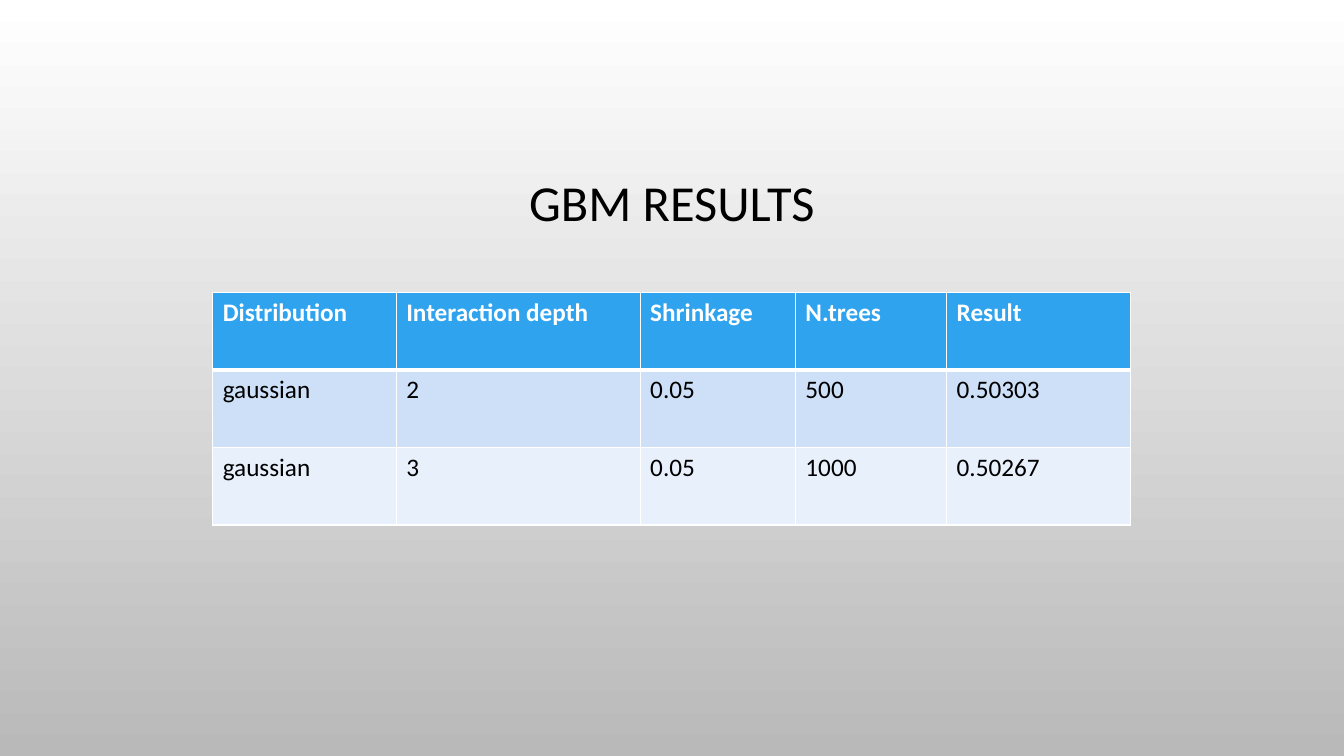
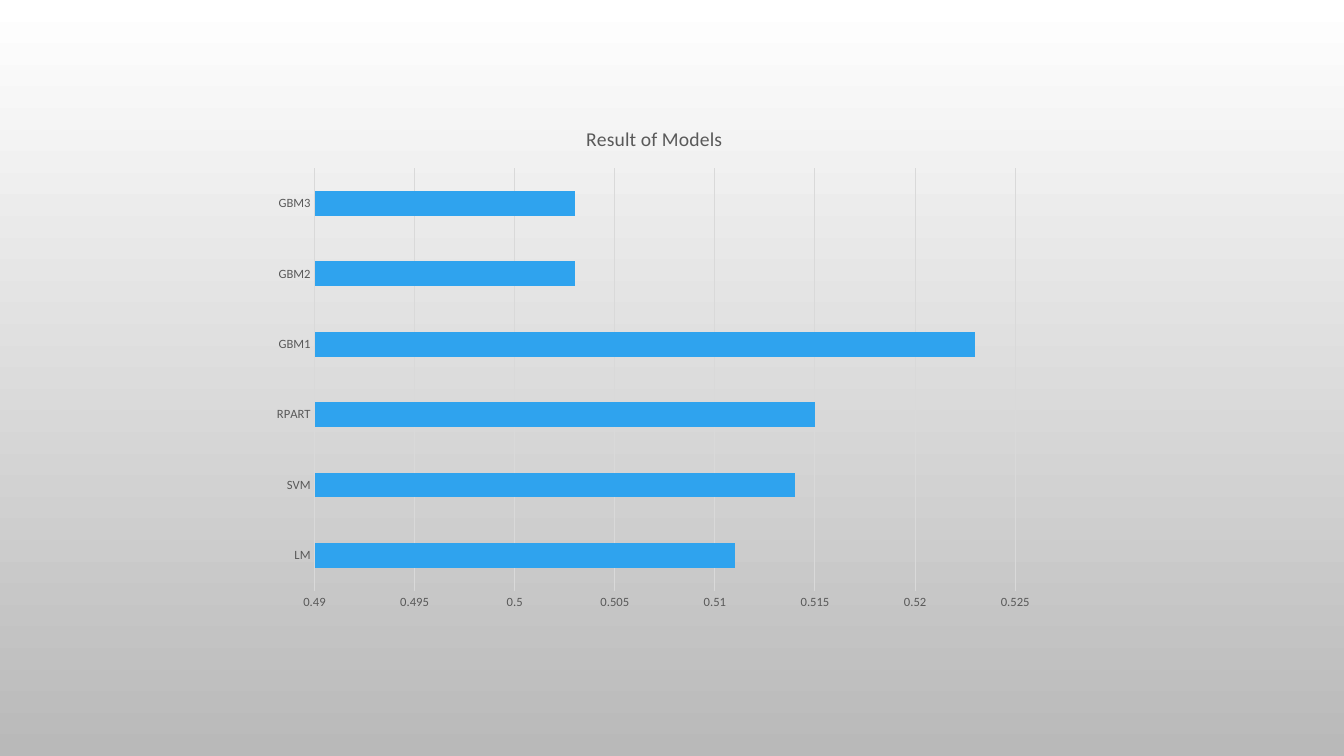
from dataclasses import dataclass

from lxml.etree import SubElement
from pptx import Presentation
from pptx.chart.axis import _BaseAxis
from pptx.chart.data import CategoryChartData
from pptx.dml.color import RGBColor
from pptx.enum.chart import XL_CHART_TYPE, XL_TICK_MARK
from pptx.enum.text import MSO_ANCHOR, MSO_AUTO_SIZE, PP_ALIGN
from pptx.oxml import parse_xml
from pptx.oxml.ns import nsdecls, qn
from pptx.oxml.xmlchemy import BaseOxmlElement
from pptx.presentation import Presentation as Deck
from pptx.slide import Slide
from pptx.table import _Cell
from pptx.text.text import Font, TextFrame
from pptx.util import Inches, Pt

FONT = "Calibri"
COLORS = {
    "white": "FFFFFF",
    "black": "000000",
    "shade": "B9B9B9",
    "accent": "2FA3EE",
    "odd_row": "CDE0F8",
    "even_row": "E8F0FC",
    "label": "595959",
    "grid": "D9D9D9",
}


@dataclass(frozen=True)
class RowStyle:
    fill: str
    text: str = "black"
    bold: bool = False
    top: float = 1
    bottom: float = 1


@dataclass(frozen=True)
class ModelResult:
    model: str
    error: float


ROW_STYLES = [
    RowStyle("accent", text="white", bold=True, bottom=3),
    RowStyle("odd_row", top=3),
    RowStyle("even_row"),
]
GBM_ROWS = [
    ("Distribution", "Interaction depth", "Shrinkage", "N.trees", "Result"),
    ("gaussian", "2", "0.05", "500", "0.50303"),
    ("gaussian", "3", "0.05", "1000", "0.50267"),
]
COLUMN_WIDTHS = [1.82, 2.42, 1.54, 1.5, 1.82]
ROW_HEIGHT = 0.77
MODEL_RESULTS = [
    ModelResult("LM", 0.511),
    ModelResult("SVM", 0.514),
    ModelResult("RPART", 0.515),
    ModelResult("GBM1", 0.523),
    ModelResult("GBM2", 0.503),
    ModelResult("GBM3", 0.503),
]
CHART_WIDTH, CHART_HEIGHT = 7.78, 5.09
PLOT_LAYOUT = {
    "x": 0.52 / CHART_WIDTH,
    "y": 0.62 / CHART_HEIGHT,
    "w": 6.95 / CHART_WIDTH,
    "h": 4.19 / CHART_HEIGHT,
}


def rgb(name: str) -> RGBColor:
    return RGBColor.from_string(COLORS[name])


def format_font(font: Font, size: float, color: str, bold: bool = False) -> None:
    font.name = FONT
    font.size = Pt(size)
    font.bold = bold
    font.color.rgb = rgb(color)


def write_text(
    frame: TextFrame,
    text: str,
    *,
    size: float,
    color: str = "black",
    bold: bool = False,
    align: PP_ALIGN = PP_ALIGN.LEFT,
    line_spacing: float = 1.0,
) -> None:
    paragraph = frame.paragraphs[0]
    paragraph.alignment = align
    paragraph.line_spacing = line_spacing
    run = paragraph.add_run()
    run.text = text
    format_font(run.font, size, color, bold)


def set_background(deck: Deck) -> None:
    fill = deck.slide_master.background.fill
    fill.gradient()
    fill.gradient_angle = 270
    for stop, color in zip(fill.gradient_stops, ("white", "shade")):
        stop.color.rgb = rgb(color)


def add_title(slide: Slide, text: str) -> None:
    title = slide.shapes.title
    title.left, title.top = Inches(1), Inches(1.16)
    title.width, title.height = Inches(11.33), Inches(1.75)
    frame = title.text_frame
    frame.auto_size = MSO_AUTO_SIZE.NONE
    frame.vertical_anchor = MSO_ANCHOR.MIDDLE
    write_text(frame, text, size=36, align=PP_ALIGN.CENTER, line_spacing=0.9)


def style_cell(cell: _Cell, style: RowStyle) -> None:
    properties = cell._tc.get_or_add_tcPr()
    borders = {"lnL": 1, "lnR": 1, "lnT": style.top, "lnB": style.bottom}
    for edge, width in borders.items():
        line = SubElement(properties, qn(f"a:{edge}"), w=str(Pt(width)))
        solid = SubElement(line, qn("a:solidFill"))
        SubElement(solid, qn("a:srgbClr"), val=COLORS["white"])
    cell.fill.solid()
    cell.fill.fore_color.rgb = rgb(style.fill)


def add_results_table(slide: Slide) -> None:
    table = slide.shapes.add_table(
        len(GBM_ROWS),
        len(COLUMN_WIDTHS),
        Inches(2.11),
        Inches(2.9),
        Inches(sum(COLUMN_WIDTHS)),
        Inches(ROW_HEIGHT * len(GBM_ROWS)),
    ).table
    for column, width in zip(table.columns, COLUMN_WIDTHS):
        column.width = Inches(width)
    for row, values, style in zip(table.rows, GBM_ROWS, ROW_STYLES):
        row.height = Inches(ROW_HEIGHT)
        for cell, value in zip(row.cells, values):
            style_cell(cell, style)
            write_text(cell.text_frame, value, size=18, color=style.text, bold=style.bold)


def style_axis(axis: _BaseAxis) -> None:
    axis.major_tick_mark = XL_TICK_MARK.NONE
    axis.minor_tick_mark = XL_TICK_MARK.NONE
    format_font(axis.tick_labels.font, 9, "label")


def add_models_chart(slide: Slide) -> None:
    data = CategoryChartData()
    data.categories = [result.model for result in MODEL_RESULTS]
    data.add_series("Series 1", [result.error for result in MODEL_RESULTS])
    chart = slide.shapes.add_chart(
        XL_CHART_TYPE.BAR_CLUSTERED,
        Inches(2.6),
        Inches(1.05),
        Inches(CHART_WIDTH),
        Inches(CHART_HEIGHT),
        data,
    ).chart
    format_font(chart.font, 10, "black")
    chart.has_legend = False
    chart.has_title = True
    write_text(
        chart.chart_title.text_frame,
        "Result of Models",
        size=14,
        color="label",
        align=PP_ALIGN.CENTER,
    )
    chart.chart_title.include_in_layout = False

    models, errors = chart.category_axis, chart.value_axis
    style_axis(models)
    style_axis(errors)
    models.format.line.color.rgb = rgb("grid")
    models.format.line.width = Pt(0.75)
    errors.format.line.fill.background()
    errors.minimum_scale, errors.maximum_scale = 0.49, 0.525
    errors.major_unit = 0.005
    errors.tick_labels.number_format = "General"
    errors.tick_labels.number_format_is_linked = False
    errors.major_gridlines.format.line.color.rgb = rgb("grid")
    errors.major_gridlines.format.line.width = Pt(0.75)

    plot = chart.plots[0]
    plot.gap_width = 182
    plot.vary_by_categories = False
    bars = plot.series[0].format.fill
    bars.solid()
    bars.fore_color.rgb = rgb("accent")
    place_plot(chart._chartSpace.chart.plotArea)


def place_plot(plot_area: BaseOxmlElement) -> None:
    for automatic in plot_area.findall(qn("c:layout")):
        plot_area.remove(automatic)
    modes = '<c:xMode val="edge"/><c:yMode val="edge"/>'
    sizes = "".join(f'<c:{key} val="{value:.4f}"/>' for key, value in PLOT_LAYOUT.items())
    plot_area.insert(
        0,
        parse_xml(
            f'<c:layout {nsdecls("c")}><c:manualLayout>'
            f'<c:layoutTarget val="inner"/>{modes}{sizes}'
            "</c:manualLayout></c:layout>"
        ),
    )


def main() -> None:
    deck = Presentation()
    deck.slide_width, deck.slide_height = Inches(13.33), Inches(7.5)
    set_background(deck)
    title_only, blank = deck.slide_layouts[5], deck.slide_layouts[6]

    gbm_slide = deck.slides.add_slide(title_only)
    add_title(gbm_slide, "GBM RESULTS")
    add_results_table(gbm_slide)

    add_models_chart(deck.slides.add_slide(blank))
    deck.save("out.pptx")


if __name__ == "__main__":
    main()
